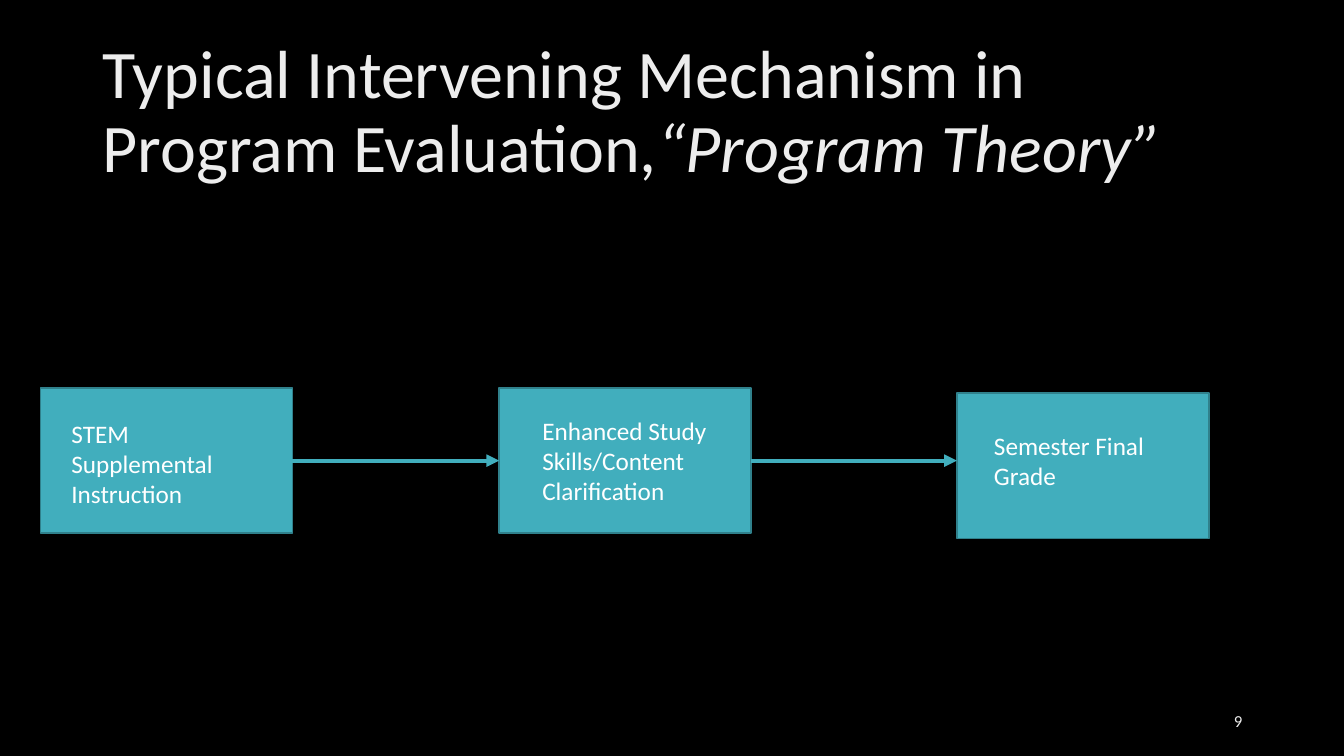
import dataclasses

import pptx
import pptx.dml.color
import pptx.enum.shapes
import pptx.enum.text
import pptx.oxml
import pptx.oxml.ns
import pptx.util

Inches = pptx.util.Inches
Pt = pptx.util.Pt
Align = pptx.enum.text.PP_ALIGN
Anchor = pptx.enum.text.MSO_ANCHOR


def color(code):
    return pptx.dml.color.RGBColor.from_string(code)


@dataclasses.dataclass(frozen=True)
class Theme:
    font: str = "Calibri"
    background: str = "000000"
    heading: str = "EDEDED"
    label: str = "FFFFFF"
    teal: str = "41AEBD"
    outline: str = "30818C"
    title_size: float = 48.6
    label_size: float = 18
    number_size: float = 12


THEME = Theme()
STAGE_WIDTH, STAGE_HEIGHT = 2.5, 1.44
LABEL_WIDTH = 2.02
ARROW_Y = 4.57

# Each stage: box left, box top, label left, label top, label height, wording
STAGES = [
    (0.4, 3.85, 0.61, 4.1, 1.01, "STEM Supplemental Instruction"),
    (4.95, 3.85, 5.28, 4.07, 1.01, "Enhanced Study Skills/Content Clarification"),
    (9.49, 3.9, 9.76, 4.22, 0.71, "Semester Final Grade"),
]


def place(shape, left, top, width, height):
    shape.left, shape.top = Inches(left), Inches(top)
    shape.width, shape.height = Inches(width), Inches(height)


def format_runs(para, size, code):
    for span in para.runs:
        span.font.name = THEME.font
        span.font.size = Pt(size)
        span.font.color.rgb = color(code)


def add_title(page, wording, emphasis):
    title = page.shapes.title
    place(title, 0.92, 0.4, 11.5, 1.45)
    frame = title.text_frame
    frame.word_wrap = True
    frame.auto_size = pptx.enum.text.MSO_AUTO_SIZE.NONE
    frame.vertical_anchor = Anchor.MIDDLE
    frame.text = wording
    para = frame.paragraphs[0]
    para.alignment = Align.LEFT
    para.line_spacing = 0.9
    span = para.add_run()
    span.text = emphasis
    span.font.italic = True
    format_runs(para, THEME.title_size, THEME.heading)


def add_text(page, bounds, wording, size, code, align=Align.LEFT, anchor=Anchor.TOP):
    box = page.shapes.add_textbox(*map(Inches, bounds))
    frame = box.text_frame
    frame.word_wrap = True
    frame.vertical_anchor = anchor
    frame.text = wording
    para = frame.paragraphs[0]
    para.alignment = align
    format_runs(para, size, code)


def add_stage(page, left, top):
    box = page.shapes.add_shape(
        pptx.enum.shapes.MSO_SHAPE.RECTANGLE,
        Inches(left), Inches(top), Inches(STAGE_WIDTH), Inches(STAGE_HEIGHT))
    box.shadow.inherit = False
    box.fill.solid()
    box.fill.fore_color.rgb = color(THEME.teal)
    box.line.color.rgb = color(THEME.outline)
    box.line.width = Pt(1)
    return box


def add_arrow(page, source, target):
    arrow = page.shapes.add_connector(
        pptx.enum.shapes.MSO_CONNECTOR.STRAIGHT,
        source.left + source.width, Inches(ARROW_Y), target.left, Inches(ARROW_Y))
    arrow.begin_connect(source, 3)
    # The last box sits lower, so its arrow stays level and ends off the middle
    if target.top == source.top:
        arrow.end_connect(target, 1)
    arrow.line.color.rgb = color(THEME.teal)
    arrow.line.width = Pt(3)
    namespace = pptx.oxml.ns.nsdecls("a")
    line = arrow.line._get_or_add_ln()
    line.append(pptx.oxml.parse_xml(f'<a:tailEnd {namespace} type="triangle"/>'))
    line.addnext(pptx.oxml.parse_xml(f"<a:effectLst {namespace}/>"))


def main():
    deck = pptx.Presentation()
    deck.slide_width, deck.slide_height = Inches(13.33), Inches(7.5)
    page = deck.slides.add_slide(deck.slide_layouts.get_by_name("Title Only"))
    page.background.fill.solid()
    page.background.fill.fore_color.rgb = color(THEME.background)

    # Title
    add_title(page, "Typical Intervening Mechanism in Program Evaluation,\t",
              "“Program Theory”")

    # Stages and the arrows between them
    boxes = [add_stage(page, left, top) for left, top, *_ in STAGES]
    for source, target in zip(boxes, boxes[1:]):
        add_arrow(page, source, target)

    # Stage labels
    for _, _, left, top, height, wording in STAGES:
        add_text(page, (left, top, LABEL_WIDTH, height), wording,
                 THEME.label_size, THEME.label)

    # Page number
    add_text(page, (9.42, 6.95, 3, 0.4), "9", THEME.number_size, THEME.heading,
             Align.RIGHT, Anchor.MIDDLE)

    deck.save("out.pptx")


if __name__ == "__main__":
    main()
